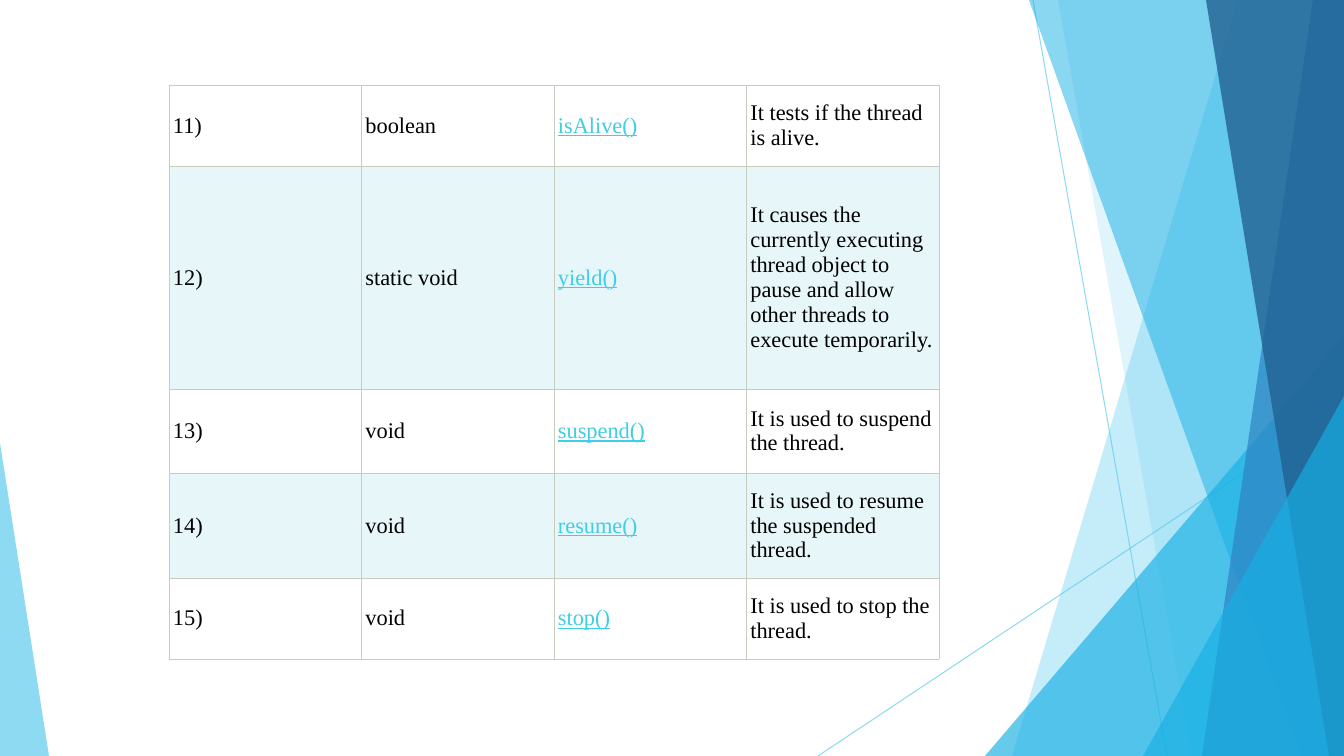
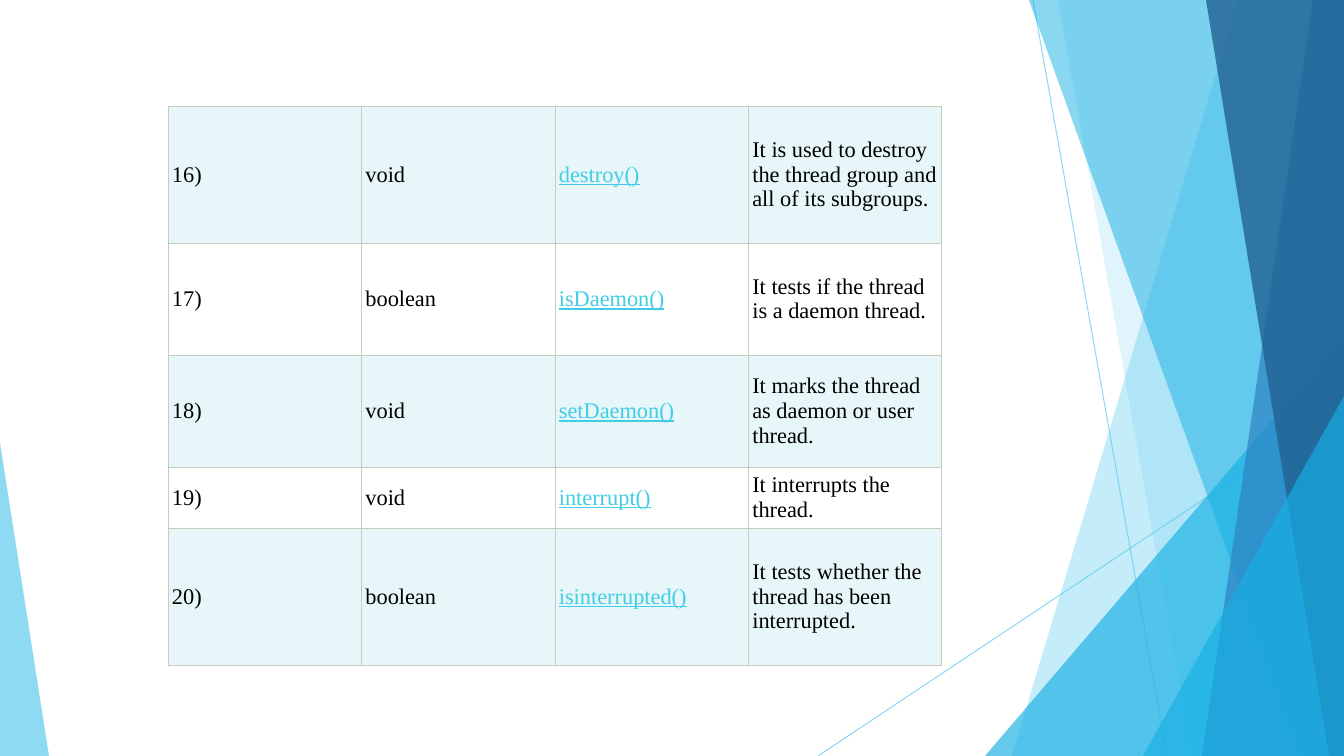
from dataclasses import dataclass

import lxml.etree
import pptx
import pptx.dml.color
import pptx.enum.shapes
import pptx.enum.text
import pptx.oxml.ns
import pptx.util

SLIDE_WIDTH, SLIDE_HEIGHT = 1344, 756
EMU_PER_PX = 12192000 / SLIDE_WIDTH


@dataclass(frozen=True)
class Theme:
    font: str = "Times New Roman"
    text_size: int = 16
    text: str = "000000"
    method: str = "3FCDE7"
    white: str = "FFFFFF"
    tint: str = "E7F6F8"
    border: str = "C7CCBE"
    border_width: float = 0.6
    line_width: float = 0.75
    sky: str = "5FCBEF"
    azure: str = "17B0E4"
    blue: str = "2E83C3"
    navy: str = "226292"


THEME = Theme()

# Each page: left, top and width of its table, then rows of
# (height, number, return type, method, description).
PAGES = [
    ((169, 85, 770), [
        (81, 11, "boolean", "isAlive()", "It tests if the thread is alive."),
        (223, 12, "static void", "yield()",
         "It causes the currently executing thread object to pause and allow "
         "other threads to execute temporarily."),
        (84, 13, "void", "suspend()", "It is used to suspend the thread."),
        (105, 14, "void", "resume()", "It is used to resume the suspended thread."),
        (81, 15, "void", "stop()", "It is used to stop the thread."),
    ]),
    ((168, 106, 774), [
        (137, 16, "void", "destroy()",
         "It is used to destroy the thread group and all of its subgroups."),
        (112, 17, "boolean", "isDaemon()", "It tests if the thread is a daemon thread."),
        (112, 18, "void", "setDaemon()", "It marks the thread as daemon or user thread."),
        (61, 19, "void", "interrupt()", "It interrupts the thread."),
        (137, 20, "boolean", "isinterrupted()",
         "It tests whether the thread has been interrupted."),
    ]),
]
METHOD_COLUMN = 2
CELL_INSET = 4

# Backdrop, from back to front; the last two values are colour and opacity in %.
HAIRLINES = [(1033, 0, 1167, 756), (1344, 406, 818, 756)]
FACETS = [
    ("band", (1238, 1012), THEME.sky, 36),
    ("band", (1058, 1192), THEME.sky, 20),
    ("triangle", (985, 336, 359, 1), THEME.azure, 66),
    ("band", (1029, 1301), THEME.azure, 50),
    ("band", (1313, 1202), THEME.blue, 70),
    ("band", (1206, 1329), THEME.navy, 80),
    ("triangle", (1143, 396, 201, 1), THEME.azure, 66),
    ("triangle", (0, 443, 49, 0), THEME.sky, 70),
]


def px(length):
    return pptx.util.Emu(round(length * EMU_PER_PX))


def rgb(code):
    return pptx.dml.color.RGBColor.from_string(code)


def set_opacity(shape, percent):
    for color in shape.element.iter(pptx.oxml.ns.qn("a:srgbClr")):
        alpha = lxml.etree.SubElement(color, pptx.oxml.ns.qn("a:alpha"))
        alpha.set("val", str(percent * 1000))


def add_hairline(shapes, ends):
    line = shapes.add_connector(
        pptx.enum.shapes.MSO_CONNECTOR.STRAIGHT, *map(px, ends))
    line.line.color.rgb = rgb(THEME.sky)
    line.line.width = pptx.util.Pt(THEME.line_width)
    set_opacity(line, 70)
    lxml.etree.SubElement(line.element.spPr, pptx.oxml.ns.qn("a:effectLst"))
    return line


def add_band(shapes, top_x, bottom_x):
    """Full-height facet from a slanted left edge to the slide's right edge."""
    outline = shapes.build_freeform(px(top_x), 0)
    corners = [(SLIDE_WIDTH, 0), (SLIDE_WIDTH, SLIDE_HEIGHT), (bottom_x, SLIDE_HEIGHT)]
    outline.add_line_segments([(px(x), px(y)) for x, y in corners], close=True)
    return outline.convert_to_shape()


def add_triangle(shapes, left, top, width, apex):
    """Triangle standing on the slide's bottom; apex is 0 at left, 1 at right."""
    triangle = shapes.add_shape(
        pptx.enum.shapes.MSO_SHAPE.ISOSCELES_TRIANGLE,
        px(left), px(top), px(width), px(SLIDE_HEIGHT - top))
    triangle.adjustments[0] = apex
    return triangle


def add_facet(shapes, kind, geometry, color, opacity):
    draw = {"band": add_band, "triangle": add_triangle}[kind]
    facet = draw(shapes, *geometry)
    facet.fill.solid()
    facet.fill.fore_color.rgb = rgb(color)
    facet.line.fill.background()
    facet.shadow.inherit = False
    set_opacity(facet, opacity)
    return facet


def build_backdrop(layout, slide):
    """Draw the backdrop on a slide, then move it to the layout all slides share."""
    for placeholder in list(layout.placeholders):
        layout.shapes.element.remove(placeholder.element)
    layout.background.fill.solid()
    layout.background.fill.fore_color.rgb = rgb(THEME.white)
    backdrop = [add_hairline(slide.shapes, ends) for ends in HAIRLINES]
    backdrop += [add_facet(slide.shapes, *facet) for facet in FACETS]
    for shape in backdrop:
        layout.shapes.element.append(shape.element)


def fill_cell(cell, text, fill, is_method):
    cell.fill.solid()
    cell.fill.fore_color.rgb = rgb(fill)
    cell.vertical_anchor = pptx.enum.text.MSO_ANCHOR.MIDDLE
    cell.margin_left = cell.margin_right = px(CELL_INSET)
    cell.margin_top = cell.margin_bottom = px(CELL_INSET)
    span = cell.text_frame.paragraphs[0].add_run()
    span.text = text
    span.font.name = THEME.font
    span.font.size = pptx.util.Pt(THEME.text_size)
    span.font.color.rgb = rgb(THEME.method if is_method else THEME.text)
    span.font.underline = is_method


def add_borders(frame):
    qn = pptx.oxml.ns.qn
    for properties in frame.element.iter(qn("a:tcPr")):
        for position, side in enumerate(("a:lnL", "a:lnR", "a:lnT", "a:lnB")):
            border = lxml.etree.Element(qn(side))
            border.set("w", str(pptx.util.Pt(THEME.border_width)))
            fill = lxml.etree.SubElement(border, qn("a:solidFill"))
            lxml.etree.SubElement(fill, qn("a:srgbClr")).set("val", THEME.border)
            properties.insert(position, border)


def add_method_table(slide, place, rows):
    left, top, width = place
    column_count = len(rows[0]) - 1
    height = sum(row[0] for row in rows)
    frame = slide.shapes.add_table(
        len(rows), column_count, px(left), px(top), px(width), px(height))
    table = frame.table
    table.first_row = table.horz_banding = False
    for column in table.columns:
        column.width = px(width / column_count)
    for row, (row_height, number, *texts) in zip(table.rows, rows):
        row.height = px(row_height)
        fill = THEME.white if number % 2 else THEME.tint
        for index, text in enumerate([f"{number})", *texts]):
            fill_cell(row.cells[index], text, fill, index == METHOD_COLUMN)
    add_borders(frame)


def main():
    deck = pptx.Presentation()
    deck.slide_width, deck.slide_height = px(SLIDE_WIDTH), px(SLIDE_HEIGHT)
    blank = deck.slide_layouts.get_by_name("Blank")
    slides = [deck.slides.add_slide(blank) for _ in PAGES]
    build_backdrop(blank, slides[0])
    for slide, (place, rows) in zip(slides, PAGES):
        add_method_table(slide, place, rows)
    deck.save("out.pptx")


if __name__ == "__main__":
    main()
